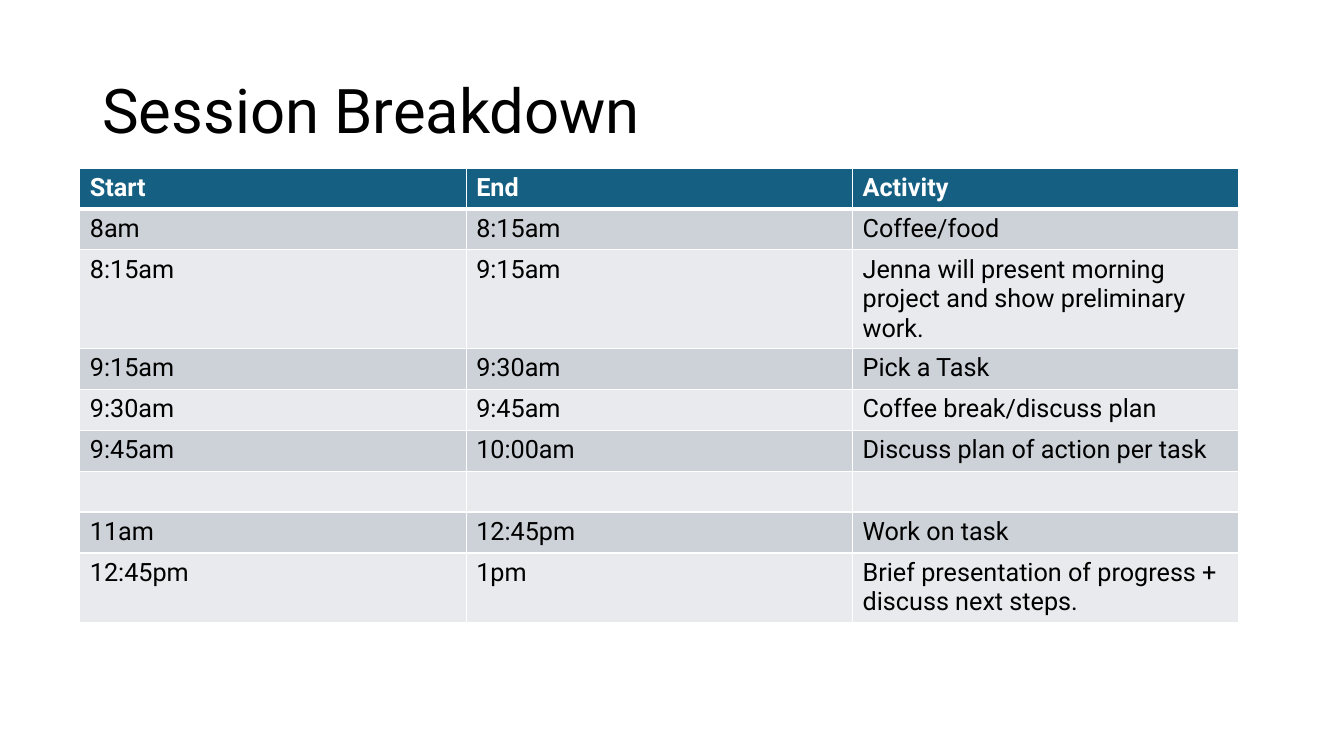
from lxml import etree
from pptx import Presentation
from pptx.dml.color import RGBColor
from pptx.enum.text import MSO_ANCHOR, PP_ALIGN
from pptx.oxml.ns import qn
from pptx.util import Inches, Pt

LEFT = PP_ALIGN.LEFT
MIDDLE = MSO_ANCHOR.MIDDLE
TITLE_ONLY = 5

# The grid has square units of a twelfth of an inch
COLUMNS, ROWS = 160, 90

HEADER = ("Start", "End", "Activity")
SESSIONS = [
    ("8am", "8:15am", "Coffee/food"),
    ("8:15am", "9:15am",
     "Jenna will present morning project and show preliminary work."),
    ("9:15am", "9:30am", "Pick a Task"),
    ("9:30am", "9:45am", "Coffee break/discuss plan"),
    ("9:45am", "10:00am", "Discuss plan of action per task"),
    ("", "", ""),
    ("11am", "12:45pm", "Work on task"),
    ("12:45pm", "1pm", "Brief presentation of progress + discuss next steps."),
]


def color(hex_string):
    return RGBColor.from_string(hex_string)


class SlideBuilder:
    font = "Roboto"
    ink, paper, accent = "000000", "FFFFFF", "156082"
    bands = ("CCD2D8", "E8EAED")

    def __init__(self, presentation):
        self.column = presentation.slide_width / COLUMNS
        self.row = presentation.slide_height / ROWS
        layout = presentation.slide_layouts[TITLE_ONLY]
        self.slide = presentation.slides.add_slide(layout)

    def place(self, left, top, width, height):
        return (round(left * self.column), round(top * self.row),
                round(width * self.column), round(height * self.row))

    def add_run(self, paragraph, text, size, hex_string, bold=False):
        run = paragraph.add_run()
        run.text = text
        run.font.name = self.font
        run.font.size = Pt(size)
        run.font.bold = bold
        run.font.color.rgb = color(hex_string)

    def title(self, text, box):
        shape = self.slide.shapes.title
        shape.left, shape.top, shape.width, shape.height = self.place(*box)
        shape.text_frame.vertical_anchor = MIDDLE
        paragraph = shape.text_frame.paragraphs[0]
        paragraph.alignment = LEFT
        paragraph.line_spacing = 0.9
        self.add_run(paragraph, text, 44, self.ink)

    def borders(self, cell, widths):
        properties = cell._tc.get_or_add_tcPr()
        for index, (side, width) in enumerate(widths.items()):
            line = etree.Element(qn(f"a:ln{side}"), w=str(Pt(width)))
            fill = etree.SubElement(line, qn("a:solidFill"))
            etree.SubElement(fill, qn("a:srgbClr"), val=self.paper)
            properties.insert(index, line)

    def cell(self, cell, text, fill, ink, bold, widths):
        cell.fill.solid()
        cell.fill.fore_color.rgb = color(fill)
        self.borders(cell, widths)
        paragraph = cell.text_frame.paragraphs[0]
        paragraph.font.size = Pt(18)
        if text:
            self.add_run(paragraph, text, 18, ink, bold)

    def table(self, header, records, left, top, width, row_height):
        lines = [header, *records]
        box = self.place(left, top, width, row_height * len(lines))
        table = self.slide.shapes.add_table(len(lines), len(header), *box).table
        for row_index, line in enumerate(lines):
            is_header = row_index == 0
            fill = self.accent if is_header else self.bands[(row_index - 1) % 2]
            ink = self.paper if is_header else self.ink
            # A heavier rule parts the header from the sessions
            widths = {"L": 1, "R": 1, "T": 3 if row_index == 1 else 1,
                      "B": 3 if is_header else 1}
            for column_index, text in enumerate(line):
                self.cell(table.cell(row_index, column_index), text,
                          fill, ink, is_header, widths)


def main():
    presentation = Presentation()
    presentation.slide_width = Inches(40 / 3)
    presentation.slide_height = Inches(7.5)
    builder = SlideBuilder(presentation)

    # Heading
    builder.title("Session Breakdown", (11, 4.8, 138, 17.4))

    # Timetable
    builder.table(HEADER, SESSIONS, left=9.5, top=20, width=138, row_height=4.87)

    presentation.save("out.pptx")


if __name__ == "__main__":
    main()
